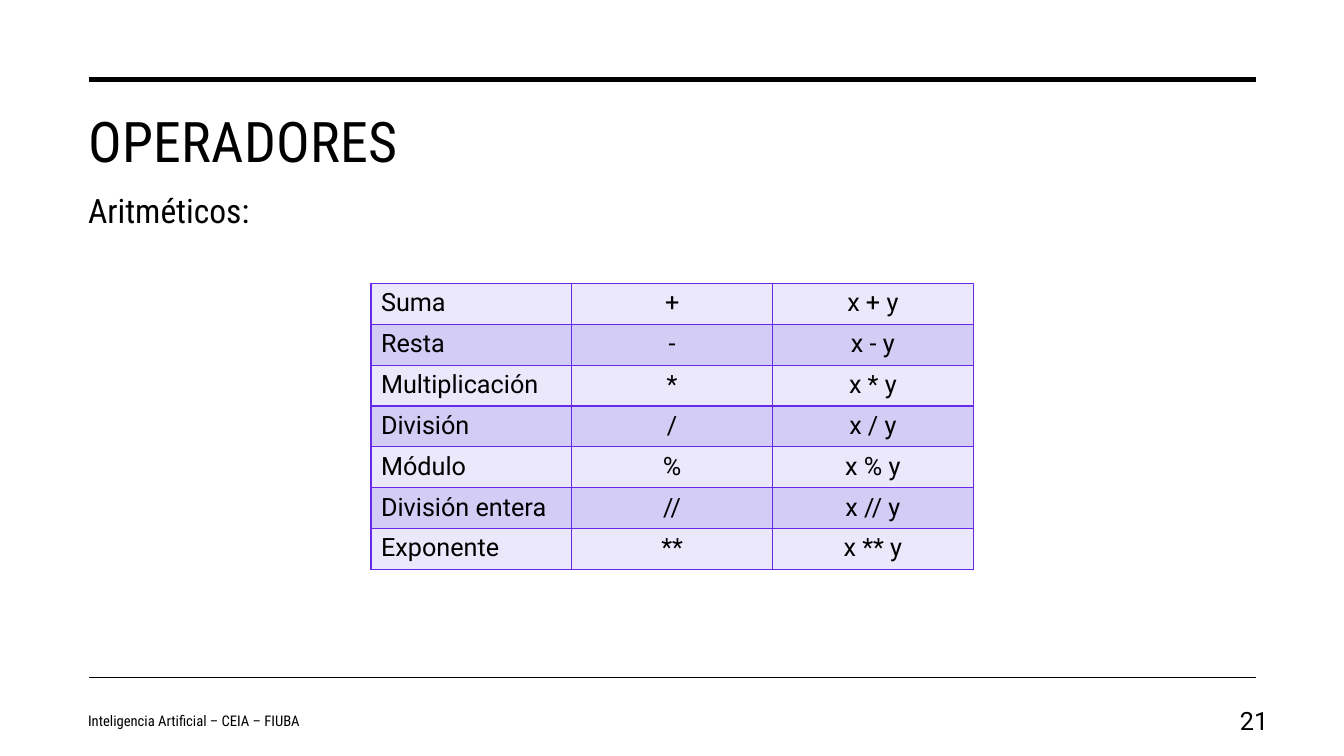
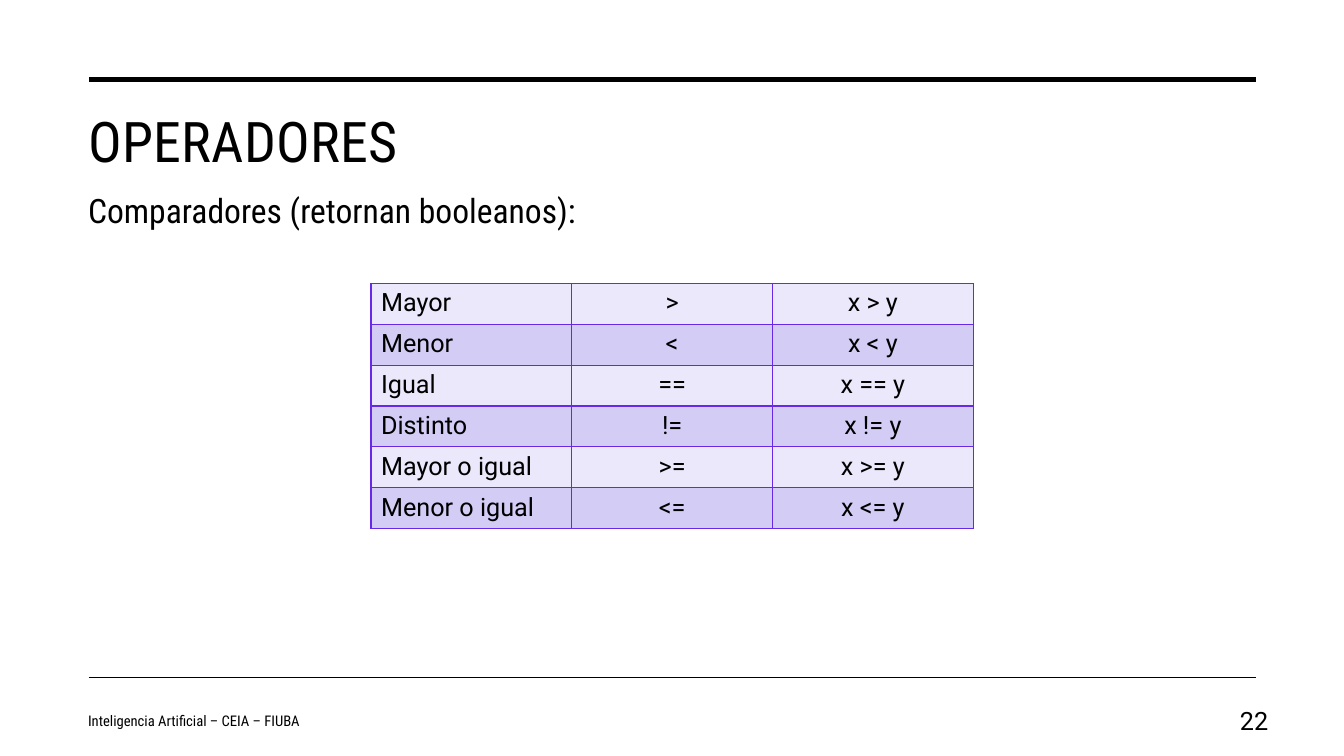
from lxml import etree
from pptx import Presentation
from pptx.dml.color import RGBColor
from pptx.enum.shapes import MSO_CONNECTOR
from pptx.enum.text import MSO_ANCHOR, PP_ALIGN
from pptx.oxml import parse_xml
from pptx.oxml.ns import nsdecls, qn
from pptx.util import Cm, Pt

TITLE = "OPERADORES"
FOOTER = "Inteligencia Artificial – CEIA – FIUBA"
FIRST_NUMBER = 21
PAGES = [
    ("Aritméticos:", [
        ("Suma", "+"),
        ("Resta", "-"),
        ("Multiplicación", "*"),
        ("División", "/"),
        ("Módulo", "%"),
        ("División entera", "//"),
        ("Exponente", "**"),
    ]),
    ("Comparadores (retornan booleanos):", [
        ("Mayor", ">"),
        ("Menor", "<"),
        ("Igual", "=="),
        ("Distinto", "!="),
        ("Mayor o igual", ">="),
        ("Menor o igual", "<="),
    ]),
]

BLACK = RGBColor(0x00, 0x00, 0x00)
VIOLET = RGBColor(0x65, 0x29, 0xE7)
BANDS = [RGBColor(0xEA, 0xE8, 0xFA), RGBColor(0xD3, 0xCD, 0xF6)]
HEADING_FONT = "Roboto Condensed"
BODY_FONT = "Roboto"

STRAIGHT = MSO_CONNECTOR.STRAIGHT
TOP, MIDDLE = MSO_ANCHOR.TOP, MSO_ANCHOR.MIDDLE
LEFT, CENTER, RIGHT = PP_ALIGN.LEFT, PP_ALIGN.CENTER, PP_ALIGN.RIGHT

RULE_LEFT, RULE_RIGHT = Cm(2.24), Cm(31.65)
RULES = [(Cm(2.01), Pt(3.5)), (Cm(17.07), Pt(1))]
TEXT_LEFT = Cm(1.97)
FOOTER_TOP, FOOTER_HEIGHT = Cm(17.65), Cm(1.02)
TABLE_LEFT, TABLE_TOP = Cm(9.35), Cm(7.14)
COLUMN_COUNT, COLUMN_WIDTH, ROW_HEIGHT = 3, Cm(5.06), Cm(1.03)


def write(frame, text, size=18, font=BODY_FONT, align=LEFT, spacing=None):
    para = frame.paragraphs[0]
    para.alignment = align
    span = para.add_run()
    span.text = text
    span.font.size = Pt(size)
    span.font.name = font
    span.font.color.rgb = BLACK
    if spacing:
        span.font._element.set("spc", str(spacing))


def add_text(page, text, left, top, width, height, anchor=TOP, **style):
    box = page.shapes.add_textbox(left, top, width, height)
    box.text_frame.word_wrap = True
    box.text_frame.vertical_anchor = anchor
    write(box.text_frame, text, **style)


def add_rule(page, top, weight):
    rule = page.shapes.add_connector(STRAIGHT, RULE_LEFT, top, RULE_RIGHT, top)
    rule.line.color.rgb = BLACK
    rule.line.width = weight
    etree.SubElement(rule._element.spPr, qn("a:effectLst"))


def add_borders(cell):
    properties = cell._tc.get_or_add_tcPr()
    for side in ("lnL", "lnR", "lnT", "lnB"):
        properties.append(parse_xml(
            f'<a:{side} {nsdecls("a")} w="{Pt(1)}"><a:solidFill>'
            f'<a:srgbClr val="{VIOLET}"/></a:solidFill></a:{side}>'
        ))


def add_operator_table(page, operators):
    table = page.shapes.add_table(
        len(operators), COLUMN_COUNT, TABLE_LEFT, TABLE_TOP,
        COLUMN_WIDTH * COLUMN_COUNT, ROW_HEIGHT * len(operators),
    ).table
    table.first_row = False
    table.horz_banding = False
    for column in table.columns:
        column.width = COLUMN_WIDTH
    for row, (name, symbol) in enumerate(operators):
        table.rows[row].height = ROW_HEIGHT
        for column, text in enumerate((name, symbol, f"x {symbol} y")):
            cell = table.cell(row, column)
            add_borders(cell)
            cell.fill.solid()
            cell.fill.fore_color.rgb = BANDS[row % len(BANDS)]
            write(cell.text_frame, text, align=CENTER if column else LEFT)


def add_page(deck, number, subtitle, operators):
    page = deck.slides.add_slide(deck.slide_layouts[6])
    for top, weight in RULES:
        add_rule(page, top, weight)
    add_text(page, TITLE, TEXT_LEFT, Cm(2.57), Cm(29.69), Cm(3.81),
             size=40, font=HEADING_FONT, spacing=30)
    add_text(page, subtitle, TEXT_LEFT, Cm(4.67), Cm(21.29), Cm(1.27),
             size=24, font=HEADING_FONT)
    add_operator_table(page, operators)
    add_text(page, FOOTER, TEXT_LEFT, FOOTER_TOP, Cm(12.6), FOOTER_HEIGHT,
             anchor=MIDDLE, size=10.5, font=HEADING_FONT)
    add_text(page, str(number), Cm(30.33), FOOTER_TOP, Cm(1.88), FOOTER_HEIGHT,
             anchor=MIDDLE, align=RIGHT)


def main():
    deck = Presentation()
    deck.slide_width, deck.slide_height = Cm(33.87), Cm(19.05)
    for number, (subtitle, operators) in enumerate(PAGES, FIRST_NUMBER):
        add_page(deck, number, subtitle, operators)
    deck.save("out.pptx")


if __name__ == "__main__":
    main()
